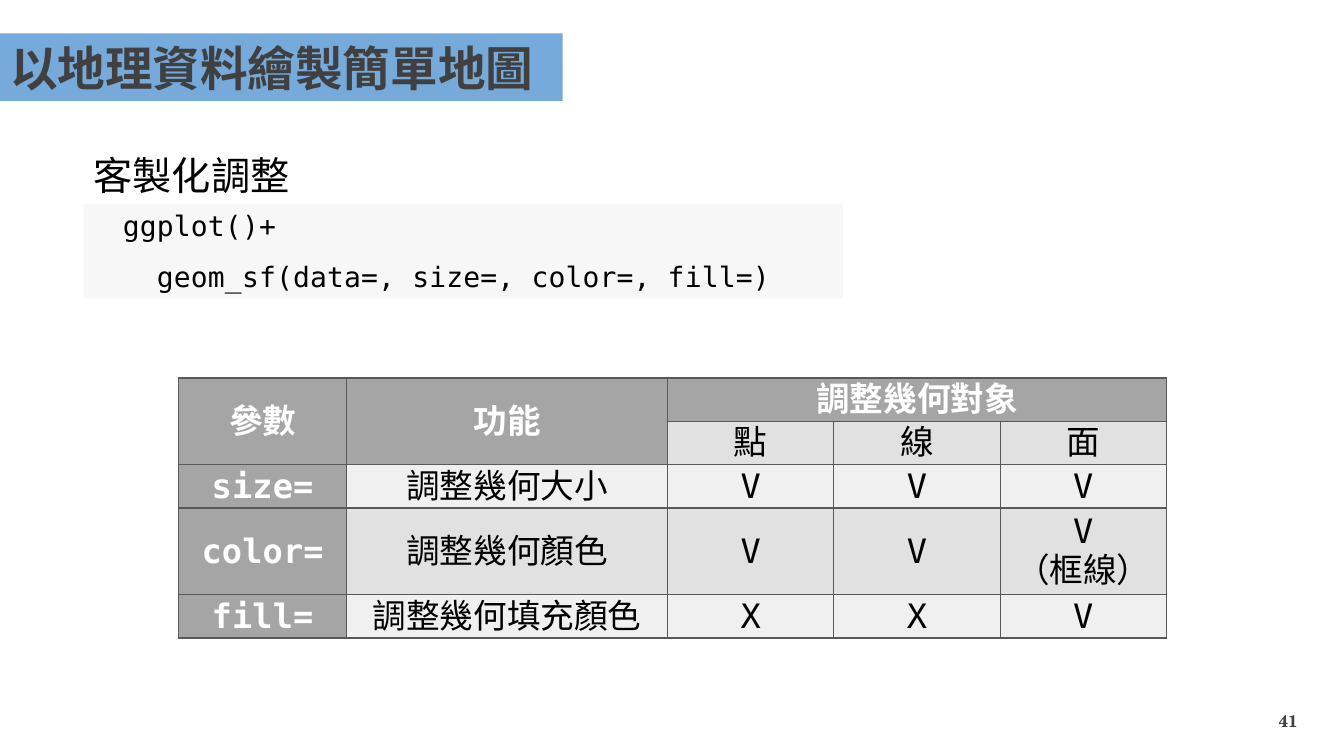
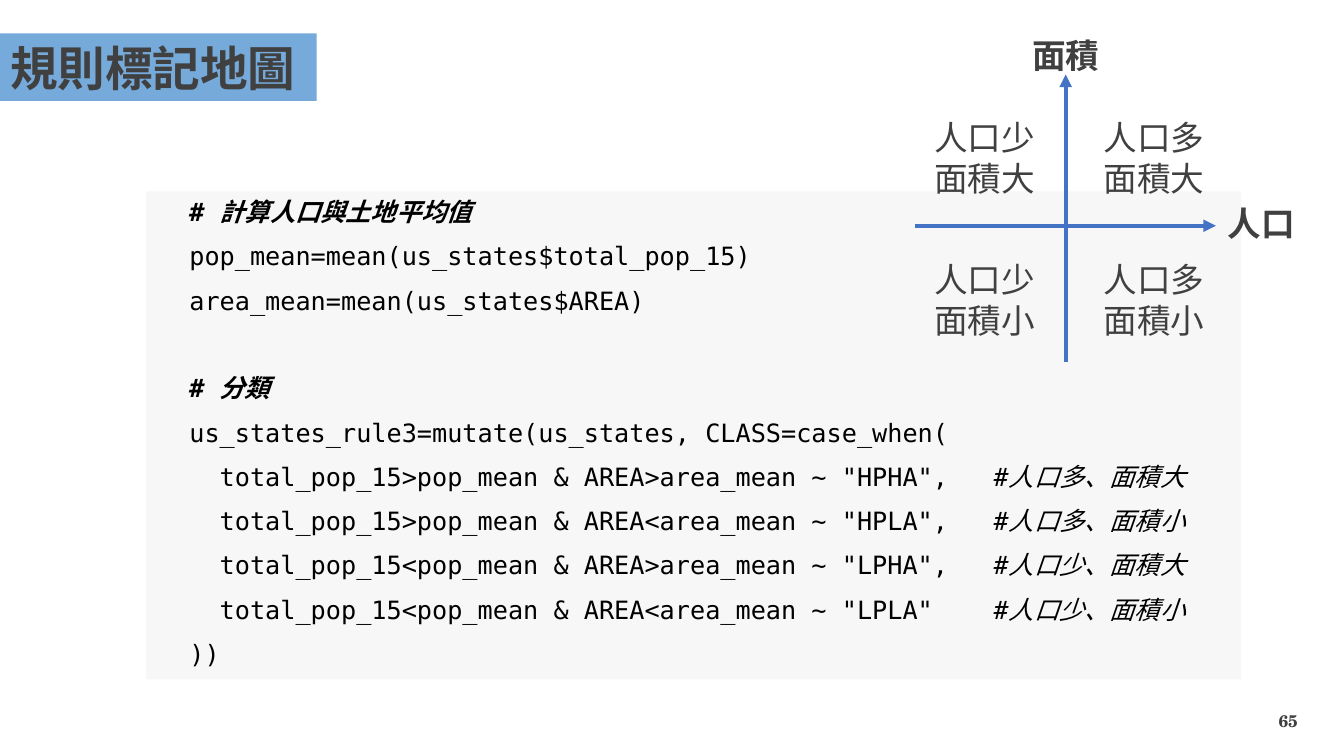
from lxml import etree
from pptx import Presentation
from pptx.dml.color import RGBColor
from pptx.enum.shapes import MSO_CONNECTOR, MSO_SHAPE
from pptx.enum.text import MSO_ANCHOR, MSO_AUTO_SIZE, PP_ALIGN
from pptx.oxml.ns import qn
from pptx.util import Inches, Pt

LEFT, CENTER, RIGHT = PP_ALIGN.LEFT, PP_ALIGN.CENTER, PP_ALIGN.RIGHT
MIDDLE, TOP = MSO_ANCHOR.MIDDLE, MSO_ANCHOR.TOP
NO_FIT = MSO_AUTO_SIZE.NONE
RECTANGLE = MSO_SHAPE.RECTANGLE
STRAIGHT = MSO_CONNECTOR.STRAIGHT

COLORS = {
    "band": "75AADB", "title": "404040", "text": "000000", "code_bg": "F7F7F7",
    "axis": "4472C4", "head": "A5A5A5", "head_text": "FFFFFF",
    "row_dark": "E1E1E1", "row_light": "F0F0F0", "border": "595959",
}
SANS, MONO, SERIF = "Noto Sans CJK SC", "DejaVu Sans Mono", "TeX Gyre Schola"


def add_run(paragraph, text, size, font, color, bold=False, italic=False, spacing=0):
    """Add a run whose Latin and East Asian fonts agree; spacing is in points."""
    run = paragraph.add_run()
    run.text = text
    run.font.size = Pt(size)
    run.font.bold = bold
    run.font.italic = italic
    run.font.color.rgb = RGBColor.from_string(COLORS[color])
    run.font.name = font
    properties = run._r.get_or_add_rPr()
    if spacing:
        properties.set("spc", str(round(spacing * 100)))
    east_asian = etree.Element(qn("a:ea"), typeface=font)
    properties.find(qn("a:latin")).addnext(east_asian)


def add_box(slide, left, top, width, height, fill=None, anchor=TOP):
    """Add a text box, or a filled rectangle, and return its text frame."""
    place = [Inches(length) for length in (left, top, width, height)]
    if fill:
        box = slide.shapes.add_shape(RECTANGLE, *place)
        box.shadow.inherit = False
        box.fill.solid()
        box.fill.fore_color.rgb = RGBColor.from_string(COLORS[fill])
        box.line.fill.background()
    else:
        box = slide.shapes.add_textbox(*place)
    frame = box.text_frame
    frame.word_wrap = True
    frame.vertical_anchor = anchor
    return frame


prs = Presentation()
prs.slide_width, prs.slide_height = Inches(13.33), Inches(7.5)

# Title band and page number on every slide
slides = []
for title, band_width, page in [("以地理資料繪製簡單地圖", 5.58, "41"),
                                ("規則標記地圖", 3.14, "65")]:
    slide = prs.slides.add_slide(prs.slide_layouts[5])
    band = slide.shapes.title
    band.left, band.top = Inches(0), Inches(0.33)
    band.width, band.height = Inches(band_width), Inches(0.67)
    band.fill.solid()
    band.fill.fore_color.rgb = RGBColor.from_string(COLORS["band"])
    band.text_frame.auto_size = NO_FIT
    band.text_frame.word_wrap = True
    band.text_frame.vertical_anchor = MIDDLE
    heading = band.text_frame.paragraphs[0]
    heading.alignment = LEFT
    add_run(heading, title, 34, SANS, "title", bold=True)

    number = add_box(slide, 9.97, 6.95, 3, 0.4, anchor=MIDDLE).paragraphs[0]
    number.alignment = RIGHT
    add_run(number, page, 12, SERIF, "title", bold=True)
    slides.append(slide)
parameter_slide, rule_slide = slides

# Slide 1: subtitle and code
subtitle = add_box(parameter_slide, 0.83, 1.45, 2.17, 0.57)
subtitle.word_wrap = False
add_run(subtitle.paragraphs[0], "客製化調整", 28, SERIF, "text")

plot_code = add_box(parameter_slide, 0.83, 2.02, 7.53, 0.94, "code_bg")
for index, code in enumerate(["ggplot()+", "  geom_sf(data=, size=, color=, fill=)"]):
    line = plot_code.add_paragraph() if index else plot_code.paragraphs[0]
    line._p.get_or_add_pPr().set("indent", str(Inches(0.29)))
    line.alignment = LEFT
    line.space_before = Pt(6 if index else 0)
    line.space_after = Pt(6)
    add_run(line, code, 20, MONO, "text", spacing=0.1)

# Slide 1: parameter table
PARAMETERS = [
    ["參數", "功能", "調整幾何對象", "", ""],
    ["", "", "點", "線", "面"],
    ["size=", "調整幾何大小", "V", "V", "V"],
    ["color=", "調整幾何顏色", "V", "V", "V\n（框線）"],
    ["fill=", "調整幾何填充顏色", "X", "X", "V"],
]
COLUMN_WIDTHS = [1.67, 3.18, 1.65, 1.65, 1.65]
ROW_HEIGHTS = [0.43, 0.43, 0.43, 0.86, 0.43]
parameters = parameter_slide.shapes.add_table(
    len(ROW_HEIGHTS), len(COLUMN_WIDTHS), Inches(1.77), Inches(3.75),
    Inches(sum(COLUMN_WIDTHS)), Inches(sum(ROW_HEIGHTS))).table
parameters.first_row = parameters.horz_banding = False
for column, width in zip(parameters.columns, COLUMN_WIDTHS):
    column.width = Inches(width)
for row, height in zip(parameters.rows, ROW_HEIGHTS):
    row.height = Inches(height)

for r, values in enumerate(PARAMETERS):
    for c, value in enumerate(values):
        cell = parameters.cell(r, c)
        is_head = r == 0 or c == 0 or (r == 1 and c == 1)
        fill = "head" if is_head else "row_dark" if r % 2 else "row_light"
        cell.margin_left = cell.margin_right = Inches(0.07)
        cell.margin_top = cell.margin_bottom = 0
        cell.vertical_anchor = MIDDLE
        for side in ("lnL", "lnR", "lnT", "lnB"):
            border = etree.SubElement(cell._tc.get_or_add_tcPr(), qn("a:" + side),
                                      w=str(Pt(1)))
            ink = etree.SubElement(border, qn("a:solidFill"))
            etree.SubElement(ink, qn("a:srgbClr"), val=COLORS["border"])
        cell.fill.solid()
        cell.fill.fore_color.rgb = RGBColor.from_string(COLORS[fill])
        if not value:
            continue
        entry = cell.text_frame.paragraphs[0]
        entry.alignment = CENTER
        for index, part in enumerate(value.split("\n")):
            if index:
                entry.add_line_break()
            add_run(entry, part, 24, MONO, "head_text" if is_head else "text",
                    bold=is_head, spacing=0.1 if value.endswith("=") else 0)
for first, last in [((0, 0), (1, 0)), ((0, 1), (1, 1)), ((0, 2), (0, 4))]:
    parameters.cell(*first).merge(parameters.cell(*last))

# Slide 2: classification code as (code, comment) lines
RULES = [
    ("", "# 計算人口與土地平均值"),
    ("pop_mean=mean(us_states$total_pop_15)", ""),
    ("area_mean=mean(us_states$AREA)", ""),
    ("", "# 分類"),
    ("us_states_rule3=mutate(us_states, CLASS=case_when(", ""),
    ('  total_pop_15>pop_mean & AREA>area_mean ~ "HPHA",   ', "#人口多、面積大"),
    ('  total_pop_15>pop_mean & AREA<area_mean ~ "HPLA",   ', "#人口多、面積小"),
    ('  total_pop_15<pop_mean & AREA>area_mean ~ "LPHA",   ', "#人口少、面積大"),
    ('  total_pop_15<pop_mean & AREA<area_mean ~ "LPLA"    ', "#人口少、面積小"),
    ("))", ""),
]
rule_code = add_box(rule_slide, 1.45, 1.9, 10.86, 4.84, "code_bg")
for index, (code, comment) in enumerate(RULES):
    line = rule_code.add_paragraph() if index else rule_code.paragraphs[0]
    line._p.get_or_add_pPr().set("indent", str(Inches(0.33)))
    line.alignment = LEFT
    line.space_after = Pt(10)
    if index and not code:  # a new section starts one line lower
        line.space_before = Pt(31)
    if code:
        add_run(line, code, 18, MONO, "text")
    if comment:
        add_run(line, comment, 18, MONO, "text", bold=not code, italic=True)

# Slide 2: quadrant axes
for ends in [(10.57, 3.59, 10.57, 0.74), (9.08, 2.24, 12.06, 2.24)]:
    axis = rule_slide.shapes.add_connector(STRAIGHT, *[Inches(end) for end in ends])
    axis.line.color.rgb = RGBColor.from_string(COLORS["axis"])
    axis.line.width = Pt(3)
    etree.SubElement(axis.line._get_or_add_ln(), qn("a:tailEnd"), type="triangle")
    etree.SubElement(axis._element.spPr, qn("a:effectLst"))

# Slide 2: axis names and quadrant labels
LABELS = [(11.88, 1.96, 1.26, 0.5, ["人口"]), (9.94, 0.29, 1.26, 0.5, ["面積"])]
for top, area in [(1.11, "面積大"), (2.52, "面積小")]:
    for left, population in [(8.71, "人口少"), (10.39, "人口多")]:
        LABELS.append((left, top, 2.11, 0.91, [population, area]))
for left, top, width, height, words in LABELS:
    label = add_box(rule_slide, left, top, width, height)
    for index, word in enumerate(words):
        line = label.add_paragraph() if index else label.paragraphs[0]
        line.alignment = CENTER
        line.line_spacing = Pt(29)
        add_run(line, word, 24, SANS, "title", bold=len(words) == 1)

prs.save("out.pptx")
